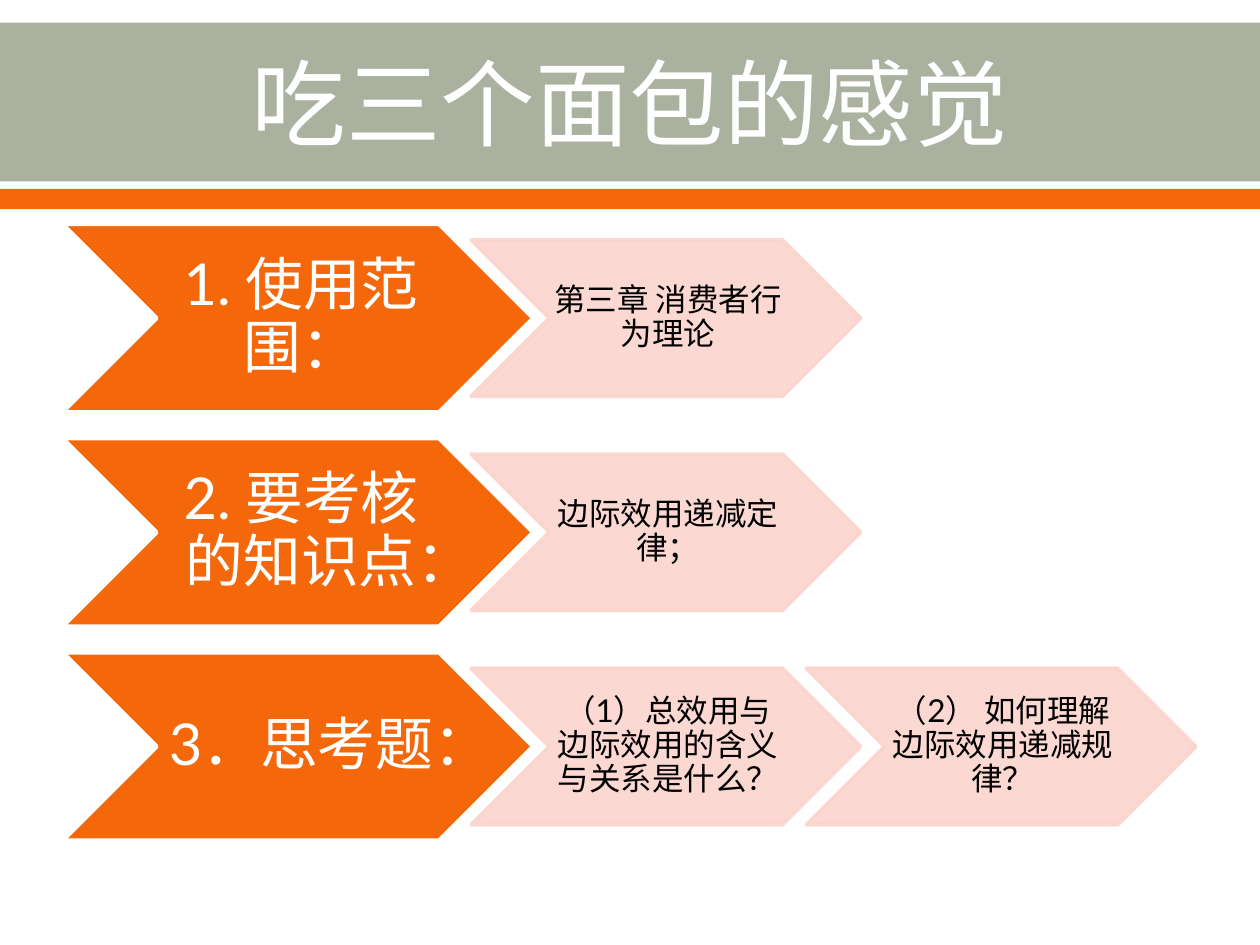
from lxml.etree import SubElement
from pptx import Presentation
from pptx.dml.color import RGBColor
from pptx.enum.shapes import MSO_SHAPE
from pptx.enum.text import MSO_ANCHOR, PP_ALIGN
from pptx.oxml.ns import qn
from pptx.util import Inches, Pt

WHITE = RGBColor(0xFF, 0xFF, 0xFF)
BLACK = RGBColor(0, 0, 0)
SAGE = RGBColor(0xAB, 0xB1, 0x9F)
ORANGE = RGBColor(0xF4, 0x68, 0x0B)
PINK = RGBColor(0xFB, 0xD4, 0xCC)

deck = Presentation()
deck.slide_width = Inches(10)
deck.slide_height = Inches(7.5)
slide = deck.slides.add_slide(deck.slide_layouts[6])
unit = deck.slide_width / 100


def write(text, box, size, color, font="Lato", pad=(0, 0, 0, 0), space=0.9):
    frame = slide.shapes.add_textbox(*(round(n * unit) for n in box)).text_frame
    frame.word_wrap = True
    frame.vertical_anchor = MSO_ANCHOR.MIDDLE
    frame.margin_left, frame.margin_top, frame.margin_right, frame.margin_bottom = (
        round(n * unit) for n in pad)
    line = frame.paragraphs[0]
    line.alignment = PP_ALIGN.CENTER
    line.line_spacing = space
    run = line.add_run()
    run.text = text
    run.font.size = Pt(size)
    run.font.name = font
    run.font.color.rgb = color


def draw(kind, box, fill, edge=None, alpha=None):
    shape = slide.shapes.add_shape(kind, *(round(n * unit) for n in box))
    shape.shadow.inherit = False
    shape.fill.solid()
    shape.fill.fore_color.rgb = fill
    if edge is None:
        shape.line.fill.background()
    else:
        shape.line.color.rgb = edge
        shape.line.width = Pt(2.22)
    if alpha:
        for tint in shape._element.spPr.iter(qn("a:srgbClr")):
            SubElement(tint, qn("a:alpha"), val=str(alpha * 1000))


draw(MSO_SHAPE.RECTANGLE, (0, 1.8, 100, 12.6), SAGE)
draw(MSO_SHAPE.RECTANGLE, (0, 15, 100, 1.6), ORANGE)
write("吃三个面包的感觉", (5, 2, 90, 12.2), 54, WHITE,
      font="Roboto Condensed", pad=(1, 0.5, 1, 0.5), space=1)

rows = [
    ("1. 使用范围：", ["第三章 消费者行为理论"]),
    ("2. 要考核的知识点：", ["边际效用递减定律；"]),
    ("3．思考题：", ["（1）总效用与边际效用的含义与关系是什么？",
                "（2） 如何理解边际效用递减规律？"]),
]
top, pitch = 17.8, 17
left, wide, tall = 5, 37.3, 14.9
start, step, span, high = 37.4, 26.6, 30.9, 12.4

for row, (head, notes) in enumerate(rows):
    y = top + row * pitch
    draw(MSO_SHAPE.CHEVRON, (left, y, wide, tall), ORANGE, edge=WHITE)
    write(head, (left + tall / 2, y, wide - tall, tall), 33, WHITE,
          pad=(0.5, 0.2, 0, 0.2))
    y += (tall - high) / 2
    for col, note in enumerate(notes):
        x = start + col * step
        draw(MSO_SHAPE.CHEVRON, (x, y, span, high), PINK, edge=PINK, alpha=90)
        write(note, (x + high / 2, y, span - high, high), 18, BLACK,
              pad=(0.3, 0.1, 0, 0.1))

deck.save("out.pptx")
